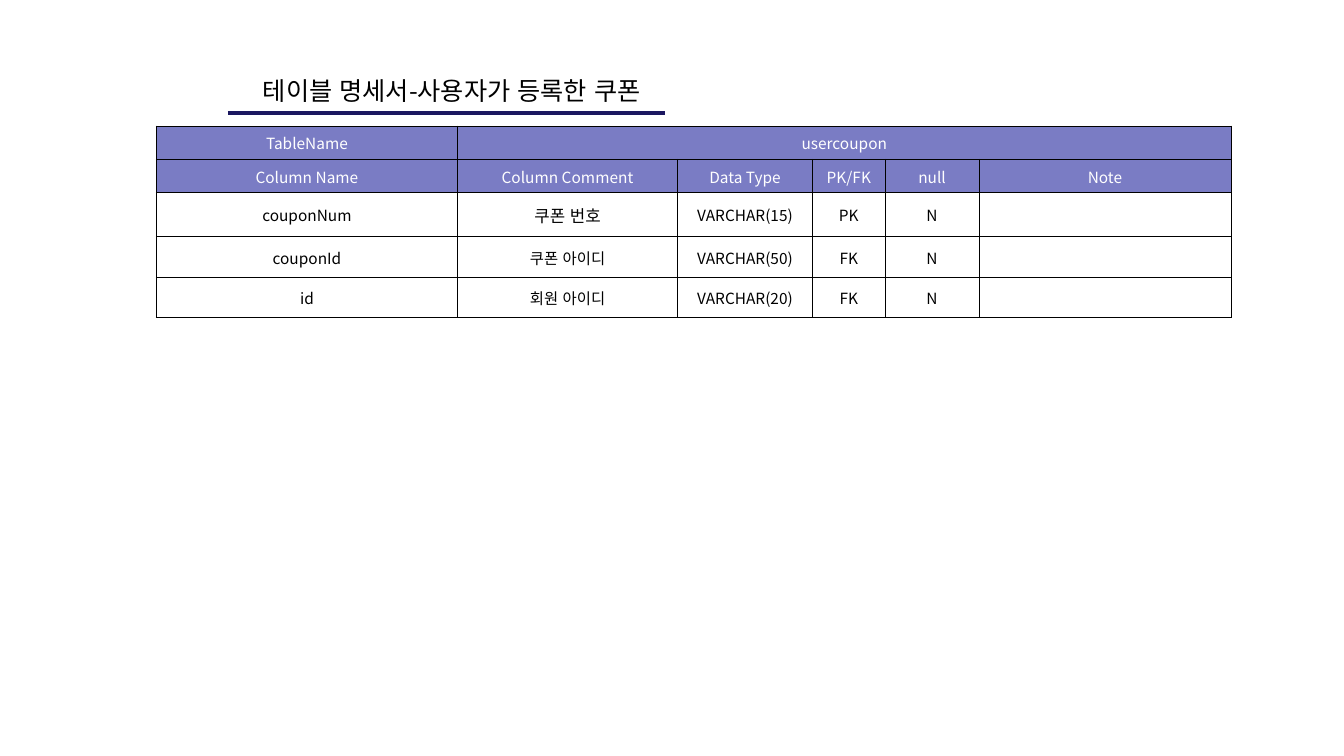
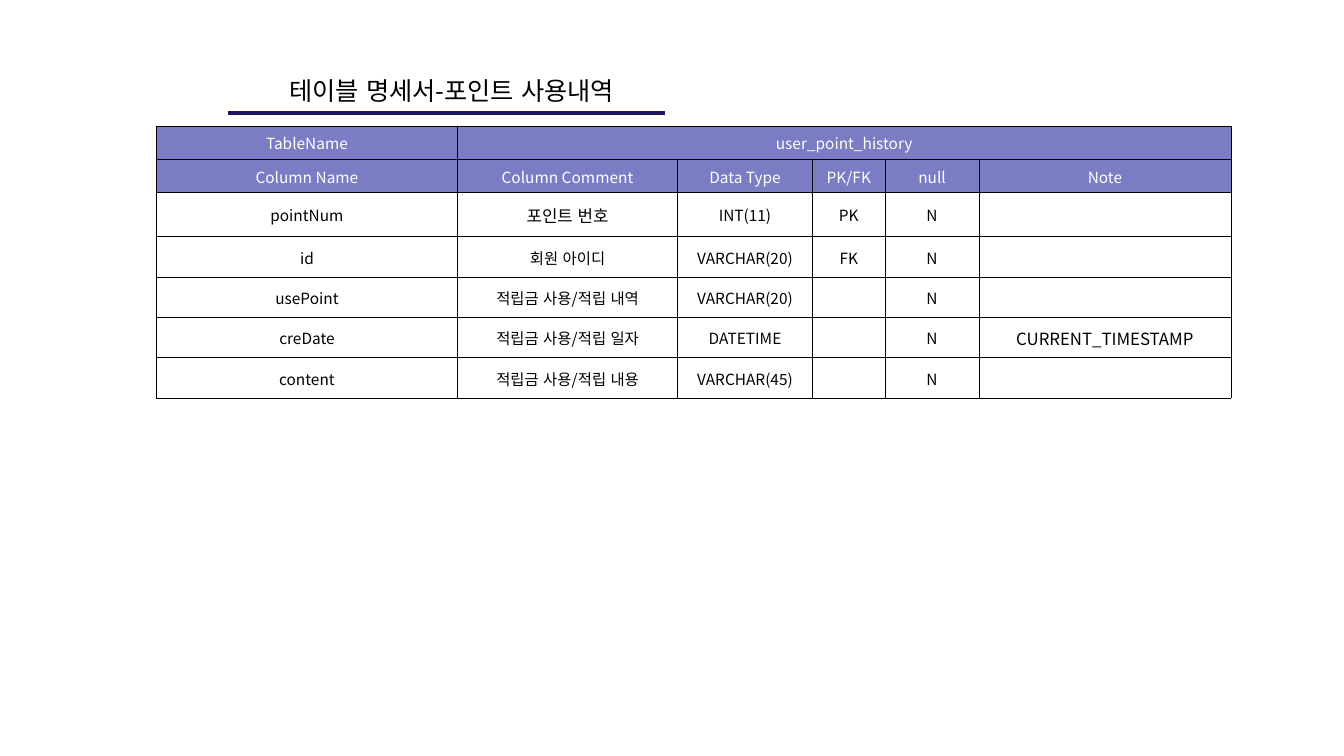
from dataclasses import dataclass

from lxml.etree import SubElement
from pptx import Presentation
from pptx.dml.color import RGBColor
from pptx.enum.lang import MSO_LANGUAGE_ID
from pptx.enum.shapes import MSO_CONNECTOR
from pptx.enum.text import MSO_ANCHOR, MSO_AUTO_SIZE, PP_ALIGN
from pptx.oxml.ns import qn
from pptx.util import Emu, Pt

TITLE_ONLY = 5


@dataclass(frozen=True)
class Theme:
    font: str = "Noto Sans CJK KR"
    text: RGBColor = RGBColor(0x00, 0x00, 0x00)
    paper: RGBColor = RGBColor(0xFF, 0xFF, 0xFF)
    header: RGBColor = RGBColor(0x7A, 0x7C, 0xC4)
    rule: RGBColor = RGBColor(0x1B, 0x17, 0x60)
    border: str = "000000"
    title_size: int = 18
    cell_size: int = 11
    large_size: int = 12
    rule_width: float = 3
    border_width: float = 0.6
    line_spacing: float = 1.03


THEME = Theme()

HEADINGS = ["Column Name", "Column Comment", "Data Type", "PK/FK", "null", "Note"]
COLUMN_WIDTHS = [299, 218, 134, 72, 93, 250]
HEADER_ROWS = 2
HEADER_HEIGHT, FIRST_HEIGHT, ROW_HEIGHT = 33, 44, 40

SPECS = [
    ("테이블 명세서-사용자가 등록한 쿠폰", "usercoupon", [
        ("couponNum", "쿠폰 번호", "VARCHAR(15)", "PK", "N", ""),
        ("couponId", "쿠폰 아이디", "VARCHAR(50)", "FK", "N", ""),
        ("id", "회원 아이디", "VARCHAR(20)", "FK", "N", ""),
    ]),
    ("테이블 명세서-포인트 사용내역", "user_point_history", [
        ("pointNum", "포인트 번호", "INT(11)", "PK", "N", ""),
        ("id", "회원 아이디", "VARCHAR(20)", "FK", "N", ""),
        ("usePoint", "적립금 사용/적립 내역", "VARCHAR(20)", "", "N", ""),
        ("creDate", "적립금 사용/적립 일자", "DATETIME", "", "N", "CURRENT_TIMESTAMP"),
        ("content", "적립금 사용/적립 내용", "VARCHAR(45)", "", "N", ""),
    ]),
]


def px(n):
    """Turn px, 100 to the inch, into EMU."""
    return Emu(n * 9144)


def style_paragraph(p, size, color):
    p.alignment = PP_ALIGN.CENTER
    p.font.size = Pt(size)
    p.font.color.rgb = color
    p.font.name = THEME.font
    p.font.language_id = MSO_LANGUAGE_ID.KOREAN
    # Hangul takes its typeface from the East Asian slot; kerning would narrow its spaces.
    defaults = p._p.pPr.find(qn("a:defRPr"))
    defaults.set("kern", "0")
    SubElement(defaults, qn("a:ea"), typeface=THEME.font)


def add_title(s, text):
    title = s.shapes.title
    title.left, title.top, title.width, title.height = map(px, (229, 70, 438, 39))
    tf = title.text_frame
    tf.text = text
    tf.word_wrap = True
    tf.vertical_anchor = MSO_ANCHOR.TOP
    tf.auto_size = MSO_AUTO_SIZE.SHAPE_TO_FIT_TEXT
    style_paragraph(tf.paragraphs[0], THEME.title_size, THEME.text)


def add_title_rule(s):
    rule = s.shapes.add_connector(
        MSO_CONNECTOR.STRAIGHT, px(226), px(112), px(660), px(112))
    rule.line.color.rgb = THEME.rule
    rule.line.width = Pt(THEME.rule_width)
    SubElement(rule._element.spPr, qn("a:effectLst"))


def set_borders(cell):
    tcPr = cell._tc.get_or_add_tcPr()
    for i, side in enumerate(("lnL", "lnR", "lnT", "lnB")):
        ln = tcPr.makeelement(qn(f"a:{side}"), {"w": str(Pt(THEME.border_width))})
        fill = SubElement(ln, qn("a:solidFill"))
        SubElement(fill, qn("a:srgbClr"), val=THEME.border)
        tcPr.insert(i, ln)


def fill_cell(cell, text, size, color, fill):
    cell.text = text
    cell.vertical_anchor = MSO_ANCHOR.MIDDLE
    cell.fill.solid()
    cell.fill.fore_color.rgb = fill
    set_borders(cell)
    p = cell.text_frame.paragraphs[0]
    p.line_spacing = THEME.line_spacing
    style_paragraph(p, size, color)


def cell_size(row, col):
    """The first comment and all notes are set larger."""
    large = (row, col) == (HEADER_ROWS, 1) or (row >= HEADER_ROWS and col == 5)
    return THEME.large_size if large else THEME.cell_size


def add_spec_table(s, name, fields):
    rows = [("TableName", name, "", "", "", ""), HEADINGS, *fields]
    heights = ([HEADER_HEIGHT] * HEADER_ROWS + [FIRST_HEIGHT]
               + [ROW_HEIGHT] * (len(fields) - 1))
    frame = s.shapes.add_table(
        len(rows), len(HEADINGS), px(155), px(125),
        px(sum(COLUMN_WIDTHS)), px(sum(heights)))
    table = frame.table
    table.first_row = table.horz_banding = False
    for column, width in zip(table.columns, COLUMN_WIDTHS):
        column.width = px(width)
    for r, (row, height) in enumerate(zip(rows, heights)):
        table.rows[r].height = px(height)
        colors = ((THEME.paper, THEME.header) if r < HEADER_ROWS
                  else (THEME.text, THEME.paper))
        for c, text in enumerate(row):
            fill_cell(table.cell(r, c), text, cell_size(r, c), *colors)
    table.cell(0, 1).merge(table.cell(0, len(HEADINGS) - 1))


def main():
    prs = Presentation()
    prs.slide_width, prs.slide_height = px(1333), px(750)
    for title, name, fields in SPECS:
        s = prs.slides.add_slide(prs.slide_layouts[TITLE_ONLY])
        add_title(s, title)
        add_spec_table(s, name, fields)
        add_title_rule(s)
    prs.save("out.pptx")


if __name__ == "__main__":
    main()
